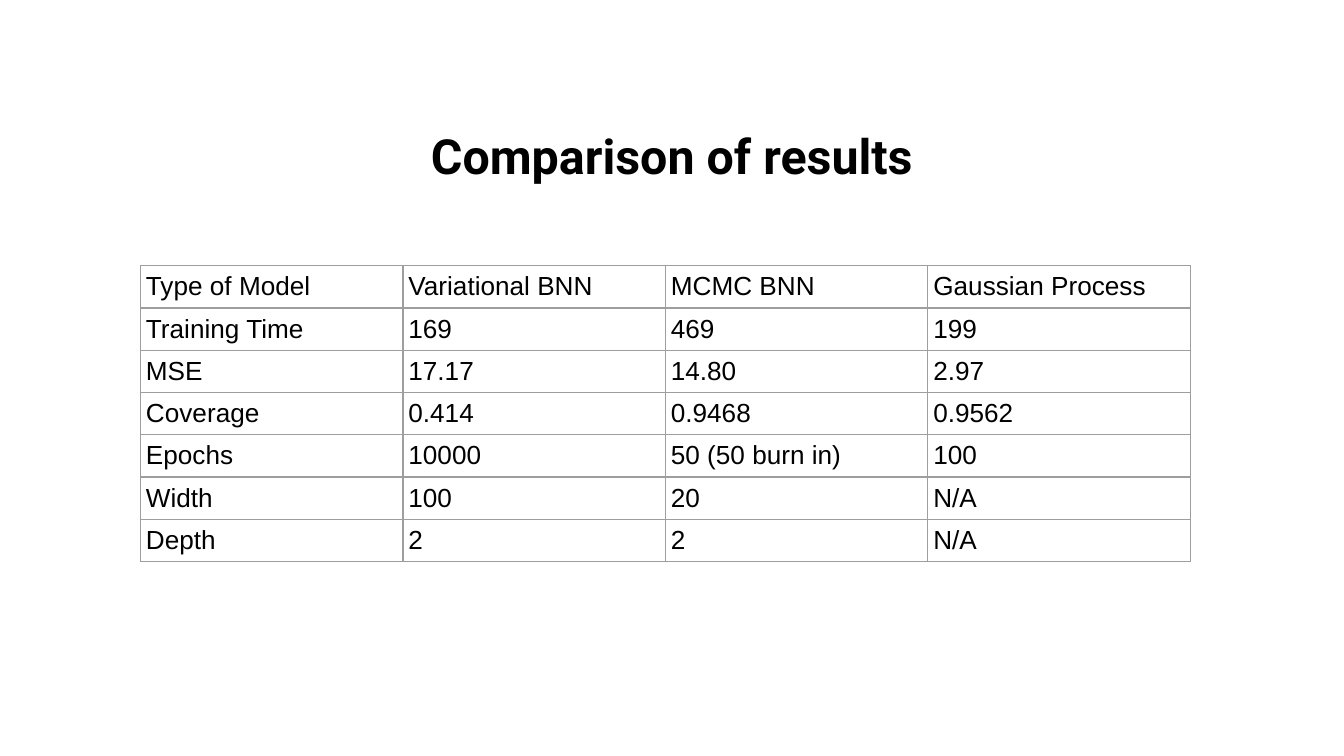
from lxml.etree import SubElement
from pptx import Presentation
from pptx.dml.color import RGBColor
from pptx.enum.text import MSO_ANCHOR, PP_ALIGN
from pptx.oxml.ns import qn
from pptx.util import Pt

# Content
TITLE = "Comparison of results"
RESULTS = [
    ("Type of Model", "Variational BNN", "MCMC BNN", "Gaussian Process"),
    ("Training Time", "169", "469", "199"),
    ("MSE", "17.17", "14.80", "2.97"),
    ("Coverage", "0.414", "0.9468", "0.9562"),
    ("Epochs", "10000", "50 (50 burn in)", "100"),
    ("Width", "100", "20", "N/A"),
    ("Depth", "2", "2", "N/A"),
]

THEME = {
    "text": "000000", "border": "9E9E9E", "background": "FFFFFF",
    "title_font": "Roboto", "title_size": 25.9,
    "table_font": "Arial", "table_size": 14,
    "border_width": 0.75,
}

# Layout in points
SLIDE_WIDTH, SLIDE_HEIGHT = 720, 405
TITLE_TOP, TITLE_WIDTH, TITLE_HEIGHT = 62.6, 282, 45.4
TABLE_LEFT, TABLE_TOP = 75.3, 142.4
COLUMN_WIDTH, ROW_HEIGHT = 140.6, 21.4
CELL_SIDE, CELL_EDGE = 2.9, 3.43


def add_run(paragraph, text, kind, bold=False):
    run = paragraph.add_run()
    run.text = text
    run.font.name = THEME[kind + "_font"]
    run.font.size = Pt(THEME[kind + "_size"])
    run.font.bold = bold
    run.font.color.rgb = RGBColor.from_string(THEME["text"])


def add_borders(cell):
    properties = cell._tc.get_or_add_tcPr()
    for side in ("a:lnL", "a:lnR", "a:lnT", "a:lnB"):
        line = SubElement(properties, qn(side), w=str(Pt(THEME["border_width"])))
        fill = SubElement(line, qn("a:solidFill"))
        SubElement(fill, qn("a:srgbClr"), val=THEME["border"])


def add_title(slide):
    left = (SLIDE_WIDTH - TITLE_WIDTH) / 2
    box = slide.shapes.add_textbox(
        Pt(left), Pt(TITLE_TOP), Pt(TITLE_WIDTH), Pt(TITLE_HEIGHT))
    frame = box.text_frame
    frame.word_wrap = True
    frame.vertical_anchor = MSO_ANCHOR.MIDDLE
    frame.margin_left = frame.margin_right = Pt(7.2)
    frame.margin_top = frame.margin_bottom = Pt(7.2)
    paragraph = frame.paragraphs[0]
    paragraph.alignment = PP_ALIGN.CENTER
    paragraph.line_spacing = 0.9
    add_run(paragraph, TITLE, "title", bold=True)


def add_results_table(slide):
    row_count, column_count = len(RESULTS), len(RESULTS[0])
    table = slide.shapes.add_table(
        row_count, column_count, Pt(TABLE_LEFT), Pt(TABLE_TOP),
        Pt(COLUMN_WIDTH * column_count), Pt(ROW_HEIGHT * row_count)).table
    table.first_row = table.horz_banding = False
    for column in table.columns:
        column.width = Pt(COLUMN_WIDTH)
    for row, values in zip(table.rows, RESULTS):
        row.height = Pt(ROW_HEIGHT)
        for cell, value in zip(row.cells, values):
            cell.margin_left = cell.margin_right = Pt(CELL_SIDE)
            cell.margin_top = cell.margin_bottom = Pt(CELL_EDGE)
            add_borders(cell)
            cell.fill.background()
            add_run(cell.text_frame.paragraphs[0], value, "table")


def main():
    presentation = Presentation()
    presentation.slide_width = Pt(SLIDE_WIDTH)
    presentation.slide_height = Pt(SLIDE_HEIGHT)
    slide = presentation.slides.add_slide(presentation.slide_layouts[6])
    background = slide.background.fill
    background.solid()
    background.fore_color.rgb = RGBColor.from_string(THEME["background"])
    add_results_table(slide)
    add_title(slide)
    presentation.save("out.pptx")


if __name__ == "__main__":
    main()
